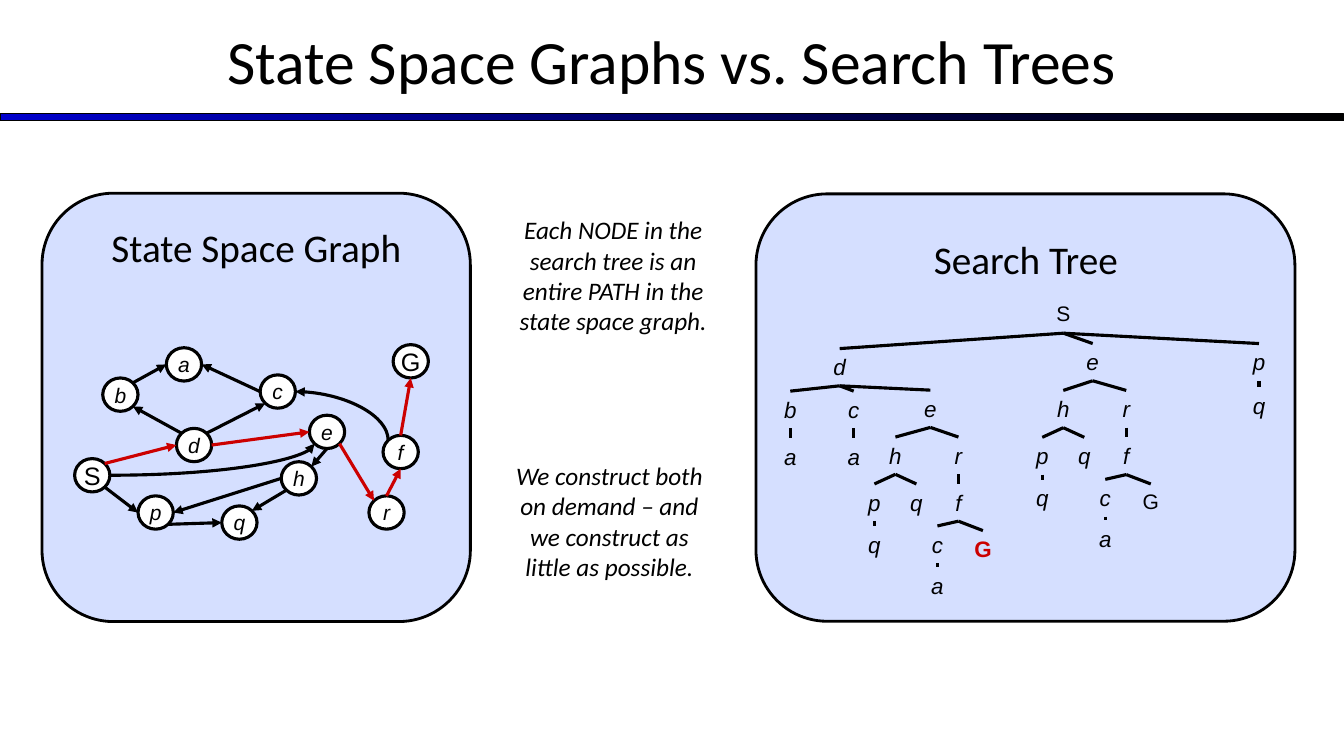
"""Build a slide comparing a state space graph with its search tree."""
from pptx import Presentation
from pptx.dml.color import RGBColor
from pptx.enum.shapes import MSO_CONNECTOR, MSO_SHAPE
from pptx.enum.text import MSO_ANCHOR, PP_ALIGN
from pptx.oxml.ns import qn
from pptx.util import Pt

STRAIGHT, CURVED = MSO_CONNECTOR.STRAIGHT, MSO_CONNECTOR.CURVE
RECTANGLE, ROUNDED = MSO_SHAPE.RECTANGLE, MSO_SHAPE.ROUNDED_RECTANGLE
CIRCLE = MSO_SHAPE.FLOWCHART_CONNECTOR
CENTER, TOP, MIDDLE = PP_ALIGN.CENTER, MSO_ANCHOR.TOP, MSO_ANCHOR.MIDDLE

THEME = {
    "ink": "000000", "route": "CC0000", "panel": "D5DFFF", "node": "FFFFFF",
    "bar": ("0000CC", "000000"), "edge": 2.25, "panel_line": 2, "bar_line": 0.75,
    "title": {"name": "Calibri", "size": Pt(44)},
    "heading": {"name": "Calibri", "size": Pt(28)},
    "note": {"name": "Calibri", "size": Pt(18), "italic": True},
    "tree": {"name": "Arial", "size": Pt(16), "italic": True},
    "end": {"name": "Arial", "size": Pt(15)},
    "found": {"name": "Arial", "size": Pt(16), "bold": True},
    "state": {"name": "Arial", "size": Pt(15), "italic": True},
    "terminal": {"name": "Arial", "size": Pt(18)},
}

PAGE = (960, 540)
BAR = (0, 81.4, 960, 5)
PANELS = [(540, 138.5, 385, 305.3), (30, 138, 306, 306)]
TEXTS = [
    ("State Space Graphs vs. Search Trees", (0, -2, 960, 90), "title", MIDDLE),
    ("Search Tree", (540.7, 164.2, 384, 41), "heading", TOP),
    ("State Space Graph", (48, 156.2, 270, 41), "heading", TOP),
    ("Each NODE in the search tree is an entire PATH in the state space graph.",
     (360, 149.8, 156, 94.3), "note", TOP),
    ("We construct both on demand – and we construct as little as possible.",
     (354, 325.4, 162.7, 94.3), "note", TOP),
]

STATE_SIZE = (25.2, 23.8)
STATES = {
    "S": (53.3, 327.6), "G": (280.8, 246.2), "d": (126, 306), "b": (73.4, 270),
    "p": (98.6, 354.2), "q": (158.4, 361.4), "c": (185.8, 267.8), "e": (221, 296.6),
    "h": (200.9, 329.8), "a": (118.8, 248.4), "f": (273.6, 311), "r": (263.5, 354.2),
}
SIDES = {
    "north": (0.5, 0), "northwest": (0.146, 0.146), "west": (0, 0.5),
    "southwest": (0.146, 0.854), "south": (0.5, 1), "southeast": (0.854, 0.854),
    "east": (1, 0.5), "northeast": (0.854, 0.146),
}
MOVES = [
    ("S", "southeast", "p", "west"), ("p", "southeast", "q", "west"),
    ("h", "southwest", "q", "northeast"), ("h", "west", "p", "east"),
    ("e", "south", "h", "northeast"), ("e", "southeast", "r", "northwest"),
    ("r", "north", "f", "south"), ("f", "north", "G", "south"),
    ("S", "northeast", "d", "west"), ("d", "northwest", "b", "southeast"),
    ("b", "northeast", "a", "west"), ("c", "west", "a", "east"),
    ("d", "northeast", "c", "southwest"), ("d", "east", "e", "west"),
]
SOLUTION = {"Sd", "de", "er", "rf", "fG"}
BENDS = [("c", "east", "f", "northwest", "headEnd"),
         ("S", "east", "e", "southwest", "tailEnd")]

LABEL_HEIGHT = 26.6
LABEL_WIDTHS = {"S": 64.8, "G": 49.7}
ROOT = (759.6, 211.4)


def branch_e(dx, dy, left, right, goal_style):
    """Return the subtree under e, which occurs twice in the tree."""
    h = ("h", left, 33.5, "tree", [
        ("p", -15, 33.5, "tree", [("q", 0, 30.2, "tree", [])]),
        ("q", 15, 33.5, "tree", [])])
    r = ("r", right, 33.5, "tree", [
        ("f", 0, 33.5, "tree", [
            ("c", -15, 30, "tree", [("a", 0, 29.3, "tree", [])]),
            ("G", 17.5, 33.3, goal_style, [])])])
    return ("e", dx, dy, "tree", [h, r])


TREE = ("S", 0, 0, "end", [
    ("d", -159.8, 37.6, "tree", [
        ("b", -35.3, 30.4, "tree", [("a", 0, 33.8, "tree", [])]),
        ("c", 10, 30.4, "tree", [("a", 0, 33.8, "tree", [])]),
        branch_e(64.8, 29.7, -25, 20, "found")]),
    branch_e(20.9, 34, -21, 24, "end"),
    ("p", 139.7, 34, "tree", [("q", 0, 31, "tree", [])]),
])


def color(name):
    return RGBColor.from_string(name)


def points(values):
    return [Pt(round(value, 2)) for value in values]


def write(box, text, style, anchor, wrap=True):
    """Put centred, styled text into a shape."""
    frame = box.text_frame
    frame.word_wrap, frame.vertical_anchor = wrap, anchor
    para = frame.paragraphs[0]
    para.alignment = CENTER
    span = para.add_run()
    span.text = text
    for key, value in THEME[style].items():
        setattr(span.font, key, value)
    span.font.color.rgb = color(THEME["route" if style == "found" else "ink"])


def add_text(page, text, bounds, style, anchor=TOP):
    write(page.shapes.add_textbox(*points(bounds)), text, style, anchor)


def add_box(page, kind, bounds, fill, width):
    """Add an outlined shape, with a flat fill if one is given."""
    box = page.shapes.add_shape(kind, *points(bounds))
    box.shadow.inherit = False
    if fill:
        box.fill.solid()
        box.fill.fore_color.rgb = color(fill)
    box.line.color.rgb, box.line.width = color(THEME["ink"]), Pt(width)
    return box


def add_edge(page, start, end, paint="ink", arrow=None, kind=STRAIGHT):
    """Add a line, with an arrowhead at the named end if any."""
    edge = page.shapes.add_connector(kind, *points(start + end))
    edge.line.color.rgb, edge.line.width = color(THEME[paint]), Pt(THEME["edge"])
    properties = edge._element.spPr
    properties.append(properties.makeelement(qn("a:effectLst"), {}))
    if arrow:
        line = edge.line._get_or_add_ln()
        line.append(line.makeelement(qn("a:" + arrow), {"type": "triangle"}))
    if kind == CURVED:
        properties.find(qn("a:prstGeom")).set("prst", "curvedConnector2")


def site(state, side):
    return tuple(corner + size * share for corner, size, share
                 in zip(STATES[state], STATE_SIZE, SIDES[side]))


def draw_graph(page):
    for state, corner in STATES.items():
        circle = add_box(page, CIRCLE, corner + STATE_SIZE, THEME["node"], THEME["edge"])
        write(circle, state, "terminal" if state in "SG" else "state", MIDDLE, False)
    for start, leave, end, enter in MOVES:
        paint = "route" if start + end in SOLUTION else "ink"
        add_edge(page, site(start, leave), site(end, enter), paint, "tailEnd")
    for start, leave, end, enter, arrow in BENDS:
        add_edge(page, site(start, leave), site(end, enter), "ink", arrow, CURVED)


def draw_tree(page, node, origin):
    """Draw a node, its children and the lines between them."""
    label, dx, dy, style, children = node
    x, y = origin[0] + dx, origin[1] + dy
    width = LABEL_WIDTHS.get(label, 25.2)
    add_text(page, label, (x - width / 2, y, width, LABEL_HEIGHT), style)
    for child in children:
        add_edge(page, (x, y + LABEL_HEIGHT), (x + child[1], y + child[2]))
        draw_tree(page, child, (x, y))


def main():
    deck = Presentation()
    deck.slide_width, deck.slide_height = points(PAGE)
    page = deck.slides.add_slide(deck.slide_layouts[6])
    bar = add_box(page, RECTANGLE, BAR, None, THEME["bar_line"])
    bar.fill.gradient()
    bar.fill.gradient_angle = 0
    for stop, shade, place in zip(bar.fill.gradient_stops, THEME["bar"], (0, 1)):
        stop.color.rgb, stop.position = color(shade), place
    for bounds in PANELS:
        add_box(page, ROUNDED, bounds, THEME["panel"], THEME["panel_line"])
    draw_tree(page, TREE, ROOT)
    draw_graph(page)
    for text, bounds, style, anchor in TEXTS:
        add_text(page, text, bounds, style, anchor)
    deck.save("out.pptx")


if __name__ == "__main__":
    main()
